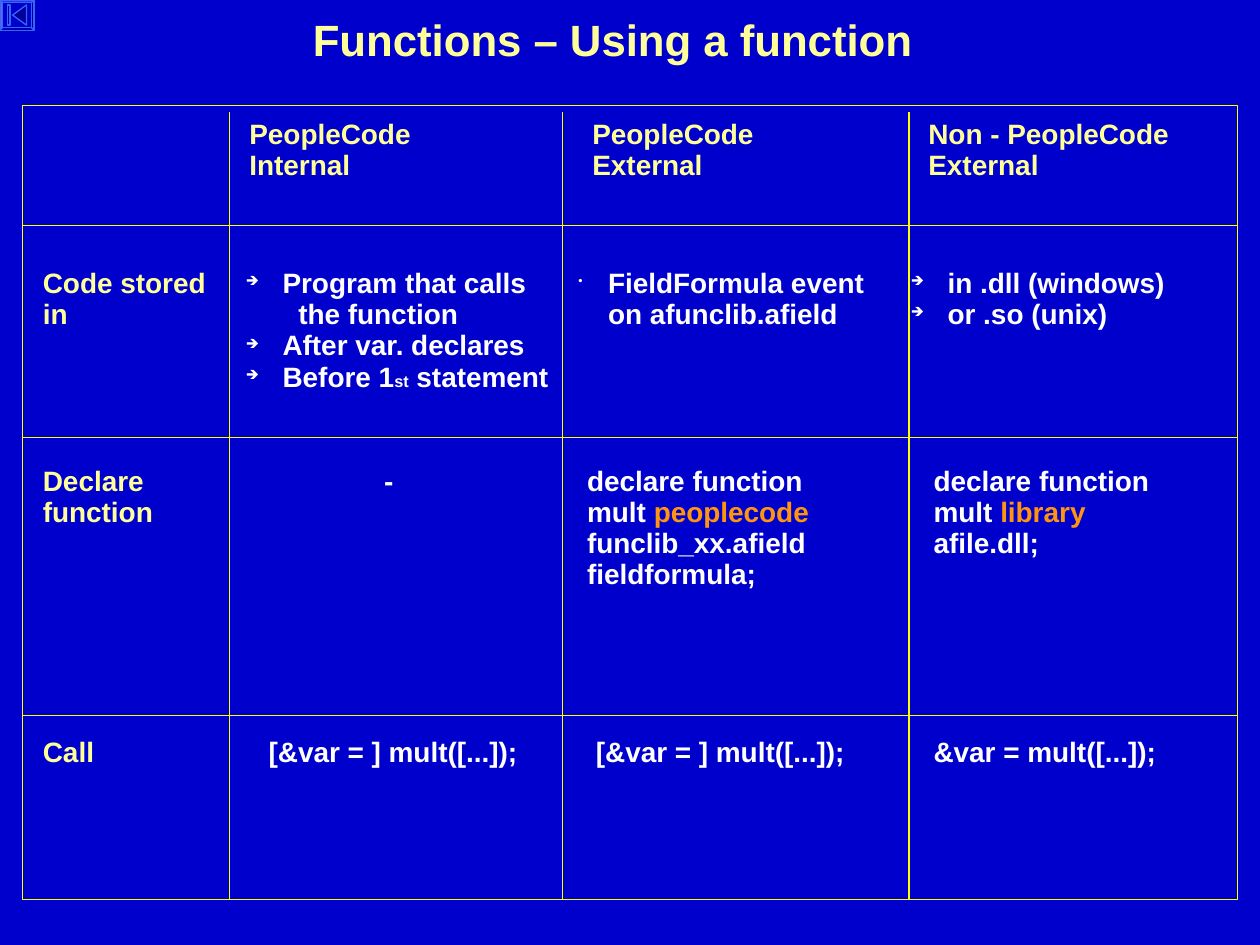
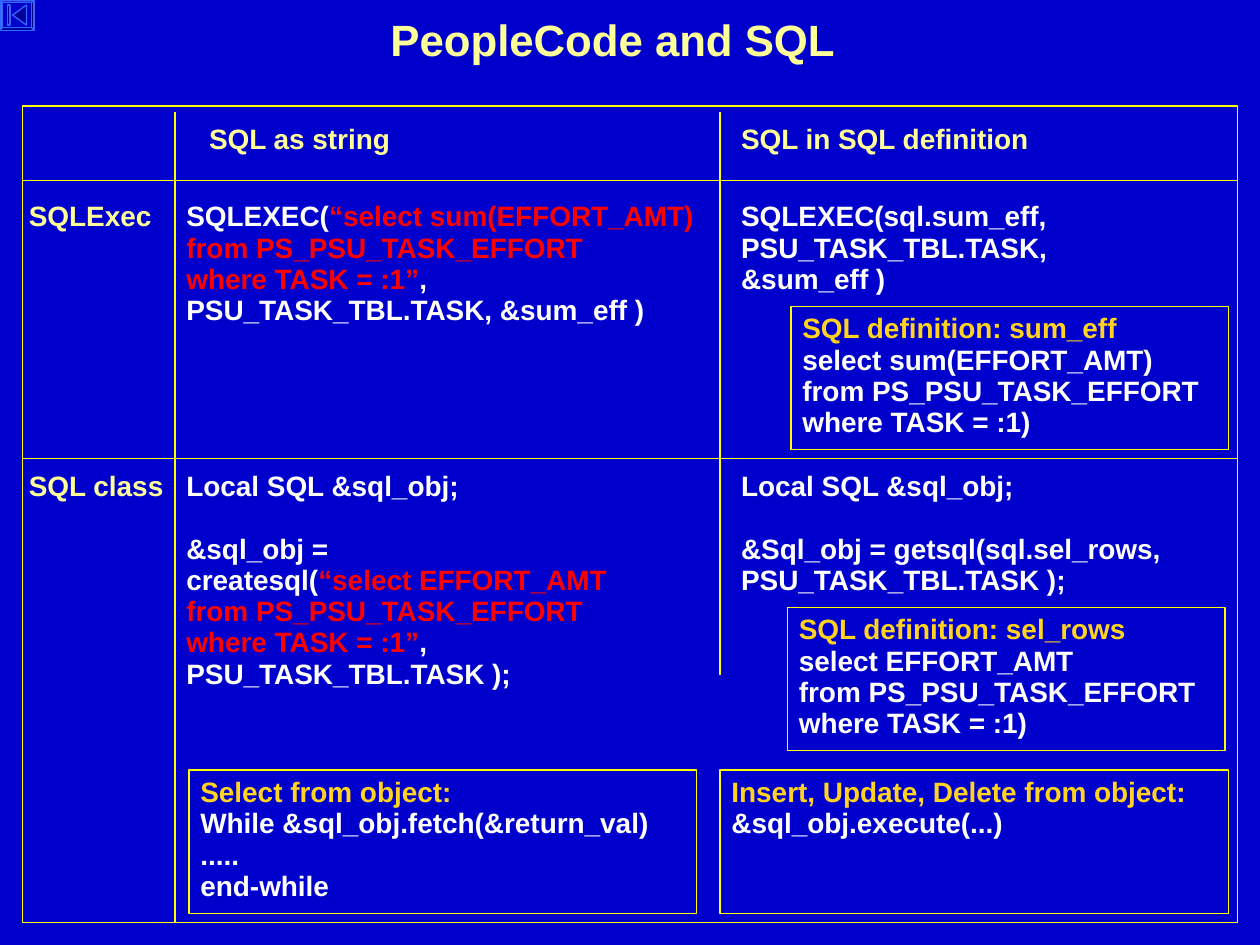
from lxml import etree
from pptx import Presentation
from pptx.dml.color import RGBColor
from pptx.enum.shapes import MSO_CONNECTOR, MSO_SHAPE
from pptx.enum.text import MSO_ANCHOR, PP_ALIGN
from pptx.oxml.ns import qn
from pptx.util import Pt

RECTANGLE, BEVEL = MSO_SHAPE.RECTANGLE, MSO_SHAPE.BEVEL
STRAIGHT = MSO_CONNECTOR.STRAIGHT
TOP = MSO_ANCHOR.TOP
LEFT, CENTER = PP_ALIGN.LEFT, PP_ALIGN.CENTER

BLUE, DARK_BLUE, BUTTON_LINE = "0000CC", "000099", "3366FF"
YELLOW, PALE_YELLOW, GOLD = "FFFF00", "FFFF99", "FFD320"
WHITE, ORANGE, RED = "FFFFFF", "FF950E", "FF0000"

FRAME_LEFT, FRAME_TOP, FRAME_WIDTH = 13, 60.5, 694
COLUMN_TOP = 64
BOX_HEIGHT = 82


def colour(hex_code):
    return RGBColor.from_string(hex_code)


class SlideBuilder:
    def __init__(self):
        self.deck = Presentation()
        self.deck.slide_width, self.deck.slide_height = Pt(720), Pt(540)
        self.page = None

    def new_page(self, title):
        self.page = self.deck.slides.add_slide(self.deck.slide_layouts[6])
        fill = self.page.background.fill
        fill.solid()
        fill.fore_color.rgb = colour(BLUE)
        self.back_button()
        self.text(125, 5, 450, 35, [title], PALE_YELLOW, size=25, align=CENTER)

    def back_button(self):
        frame = self.shape(BEVEL, 0, 0, 19.5, 17.3, BUTTON_LINE, BLUE)
        frame.adjustments[0] = 0.08
        self.shape(RECTANGLE, 4.3, 2.9, 1.4, 11.5, BUTTON_LINE, DARK_BLUE)
        outline = self.page.shapes.build_freeform(Pt(7.2), Pt(8.65))
        outline.add_line_segments([(Pt(15.1), Pt(2.9)), (Pt(15.1), Pt(14.4))])
        self.paint(outline.convert_to_shape(), BUTTON_LINE, DARK_BLUE)

    def paint(self, shape, line, fill=None):
        shape.shadow.inherit = False
        shape.line.color.rgb = colour(line)
        shape.line.width = Pt(0.75)
        if fill:
            shape.fill.solid()
            shape.fill.fore_color.rgb = colour(fill)
        else:
            shape.fill.background()

    def shape(self, kind, left, top, width, height, line, fill=None):
        shape = self.page.shapes.add_shape(kind, Pt(left), Pt(top), Pt(width), Pt(height))
        self.paint(shape, line, fill)
        return shape

    def line(self, x1, y1, x2, y2):
        line = self.page.shapes.add_connector(STRAIGHT, Pt(x1), Pt(y1), Pt(x2), Pt(y2))
        line.line.color.rgb = colour(YELLOW)
        line.line.width = Pt(0.75)
        etree.SubElement(line._element.spPr, qn("a:effectLst"))

    def grid(self, height, row_lines, column_lines):
        """Draw the frame and its dividers; column_lines holds (x, bottom) pairs."""
        self.shape(RECTANGLE, FRAME_LEFT, FRAME_TOP, FRAME_WIDTH, height, YELLOW)
        for y in row_lines:
            self.line(FRAME_LEFT, y, FRAME_LEFT + FRAME_WIDTH, y)
        for x, bottom in column_lines:
            self.line(x, COLUMN_TOP, x, bottom)

    def text(self, left, top, width, height, paras, color=WHITE, **style):
        box = self.page.shapes.add_textbox(Pt(left), Pt(top), Pt(width), Pt(height))
        return self.fill_text(box.text_frame, paras, color, **style)

    def framed_text(self, left, top, width, heading, paras):
        box = self.shape(RECTANGLE, left, top, width, BOX_HEIGHT, YELLOW)
        self.fill_text(box.text_frame, [[(heading, GOLD)], *paras])

    def fill_text(self, frame, paras, color=WHITE, size=16, align=LEFT, gap_before=None):
        """Fill a frame; a paragraph is a string or a list of (text, colour) spans.

        gap_before is the index of a paragraph set off by one line.
        """
        frame.word_wrap = True
        frame.vertical_anchor = TOP
        frame.margin_left = frame.margin_right = Pt(6.5)
        frame.margin_top, frame.margin_bottom = Pt(5 if size > 16 else 4.3), Pt(3)
        for index, content in enumerate(paras):
            para = frame.paragraphs[0] if index == 0 else frame.add_paragraph()
            para.alignment = align
            para.line_spacing = 0.93
            if index == gap_before:
                para.space_before = Pt(18)
            font = para.font
            font.name, font.size, font.bold = "Arial", Pt(size), True
            spans = [(content, color)] if isinstance(content, str) else content
            if len(spans) == 1:
                font.color.rgb = colour(spans[0][1])
            for words, span_color in spans:
                for number, row in enumerate(words.split("\n")):
                    if number:
                        para.add_line_break()
                    if row:
                        span = para.add_run()
                        span.text = row
                        if len(spans) > 1:
                            span.font.color.rgb = colour(span_color)
        return frame

    def bullets(self, frame, mark, indent, continued=()):
        """Bullet each paragraph, except the continued ones, which sit deeper."""
        for index, para in enumerate(frame.paragraphs):
            props = para._p.get_or_add_pPr()
            if index in continued:
                props.set("marL", str(Pt(indent + 9)))
                continue
            props.set("marL", str(Pt(indent)))
            props.set("indent", str(-Pt(indent)))
            marks = [etree.Element(qn(tag)) for tag in ("a:buClr", "a:buSzPct", "a:buChar")]
            etree.SubElement(marks[0], qn("a:srgbClr")).set("val", WHITE)
            marks[1].set("val", "45000")
            marks[2].set("char", mark)
            defaults = props.find(qn("a:defRPr"))
            for element in marks:
                defaults.addprevious(element)


def using_a_function(builder):
    builder.new_page("Functions – Using a function")
    builder.grid(453.5, [129, 250, 409], [(131, 514), (321.5, 514), (519.5, 514)])

    headings = [(136, "PeopleCode\nInternal"), (332, "PeopleCode\nExternal"),
                (524, "Non - PeopleCode\nExternal")]
    for left, heading in headings:
        builder.text(left, 64, 170, 44, [heading], PALE_YELLOW)
    for top, label in [(149, "Code stored\nin"), (262, "Declare\nfunction"), (417, "Call")]:
        builder.text(18, top, 112, 44, [label], PALE_YELLOW)

    internal = builder.text(134, 149, 188, 82, [
        "Program that calls", "the function", "After var. declares",
        [("Before 1", WHITE), ("st", WHITE), (" statement", WHITE)]])
    builder.bullets(internal, "➔", 21, continued=[1])
    ordinal = internal.paragraphs[3].runs[1]
    ordinal._r.get_or_add_rPr().set("baseline", "-1000")
    event = builder.text(324, 149, 190, 44, ["FieldFormula event on afunclib.afield"])
    builder.bullets(event, "•", 17)
    library = builder.text(514, 149, 190, 44, ["in .dll (windows)", "or .so (unix)"])
    builder.bullets(library, "➔", 21)

    builder.text(213, 262, 69, 25, ["-"])
    declarations = [(329, "peoplecode", "funclib_xx.afield fieldformula;"),
                    (527, "library", "afile.dll;")]
    for left, keyword, target in declarations:
        builder.text(left, 262, 144, 82, [
            [("declare function mult ", WHITE), (keyword, ORANGE)], target])

    calls = [(147, "[&var = ] mult([...]);"), (334, "[&var = ] mult([...]);"),
             (527, "&var = mult([...]);")]
    for left, call in calls:
        builder.text(left, 417, 175, 33, [call])


def peoplecode_and_sql(builder):
    builder.new_page("PeopleCode and SQL")
    builder.grid(466.5, [103, 262], [(100, 527), (411.5, 386)])

    for left, heading in [(113, "SQL as string"), (417, "SQL in SQL definition")]:
        builder.text(left, 67, 236, 25, [heading], PALE_YELLOW)
    for top, label in [(111, "SQLExec"), (265, "SQL class")]:
        builder.text(10, top, 110, 25, [label], PALE_YELLOW)

    source = "from PS_PSU_TASK_EFFORT\nwhere TASK = :1"
    builder.text(100, 111, 311, 82, [
        [("SQLEXEC(", WHITE), ("“select sum(EFFORT_AMT)", RED)],
        [(source + "”", RED), (", PSU_TASK_TBL.TASK, &sum_eff )", WHITE)]])
    builder.text(417, 111, 231, 63, ["SQLEXEC(sql.sum_eff,\nPSU_TASK_TBL.TASK, &sum_eff )"])

    local = "Local SQL &sql_obj;"
    builder.text(100, 265, 308, 176, [
        local,
        [("&sql_obj =\ncreatesql(", WHITE), ("“select EFFORT_AMT", RED)],
        [(source + "”", RED), (", PSU_TASK_TBL.TASK );", WHITE)]], gap_before=1)
    builder.text(417, 265, 278, 82, [
        local, "&Sql_obj = getsql(sql.sel_rows, PSU_TASK_TBL.TASK );"], gap_before=1)

    definitions = [(452, 175, "sum_eff", "sum(EFFORT_AMT)"),
                   (450, 347, "sel_rows", "EFFORT_AMT")]
    for left, top, name, selection in definitions:
        builder.framed_text(left, top, 250, f"SQL definition: {name}",
                            [f"select {selection}", source + ")"])
    builder.framed_text(108, 440, 290, "Select from object:",
                        ["While &sql_obj.fetch(&return_val)", ".....", "end-while"])
    builder.framed_text(411.5, 440, 290.5, "Insert, Update, Delete from object:",
                        ["&sql_obj.execute(...)"])


def main():
    builder = SlideBuilder()
    using_a_function(builder)
    peoplecode_and_sql(builder)
    builder.deck.save("out.pptx")


if __name__ == "__main__":
    main()
